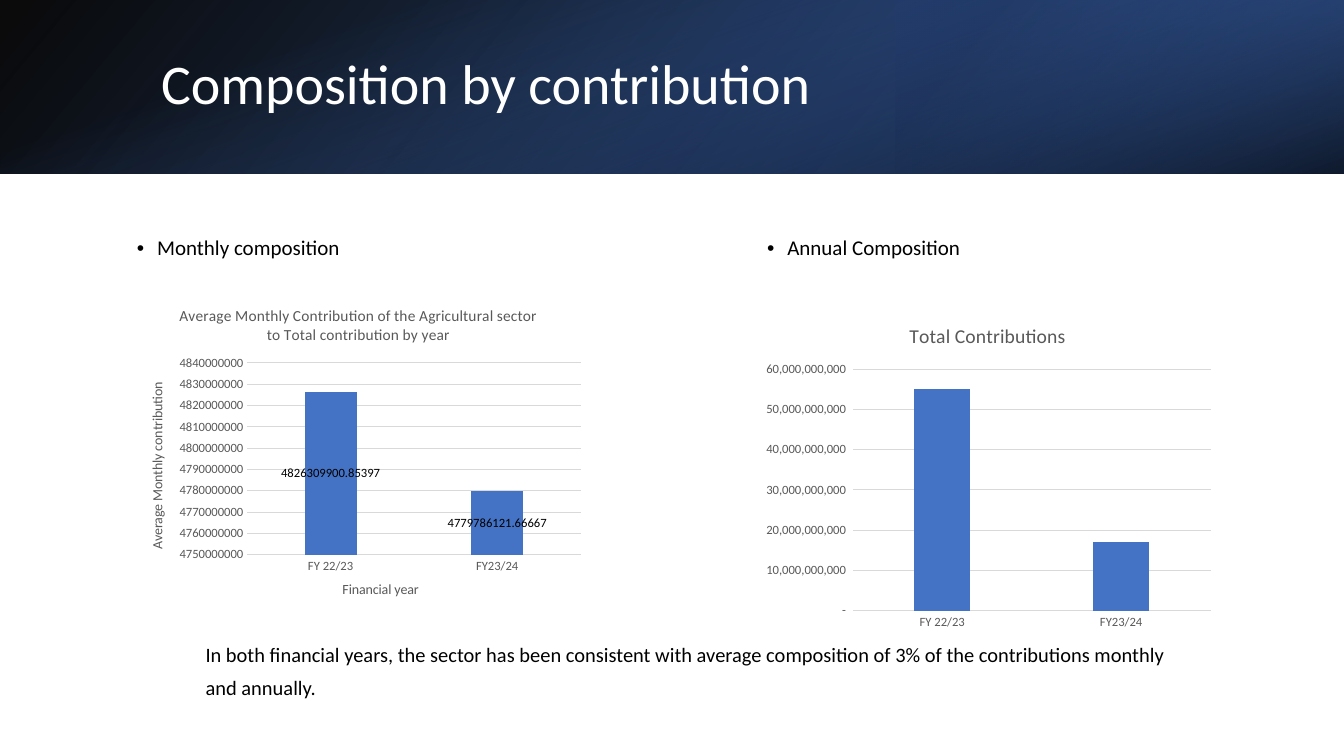
from lxml import etree
from pptx import Presentation
from pptx import util as u
from pptx.chart.data import CategoryChartData
from pptx.dml.color import RGBColor
from pptx.enum import chart as ch, shapes, text
from pptx.oxml.ns import qn

THEME = {
    "font": "Calibri", "ink": "000000", "paper": "FFFFFF", "muted": "595959",
    "grid": "D9D9D9", "bar": "4472C4", "deep": "2F5597", "navy": "203864",
    "title": 40, "bullet": 15, "note": 14.6, "axis": 9, "axis_title": 10,
}
W, H = 13.33, 7.5
BANNER_H = 0.23 * H


def style(font, size, color):
    font.name, font.size = THEME["font"], u.Pt(size)
    font.color.rgb = RGBColor.from_string(THEME[color])


def place(parent, index, **shares):
    """Pin a chart part to shares of the chart's size."""
    layout = parent.find(qn("c:layout"))
    if layout is None:
        layout = etree.Element(qn("c:layout"))
        parent.insert(index, layout)
    manual = etree.SubElement(layout, qn("c:manualLayout"))
    if "w" in shares:
        etree.SubElement(manual, qn("c:layoutTarget")).set("val", "inner")
    for edge in ("xMode", "yMode"):
        etree.SubElement(manual, qn(f"c:{edge}")).set("val", "edge")
    for name, share in shares.items():
        etree.SubElement(manual, qn(f"c:{name}")).set("val", str(share))


prs = Presentation()
prs.slide_width, prs.slide_height = u.Inches(W), u.Inches(H)
s = prs.slides.add_slide(prs.slide_layouts[6])

# Banner: three translucent gradients; stops are (position, colour, opacity %)
turned = ((W - BANNER_H) / 2, (BANNER_H - W) / 2, BANNER_H, W)
layers = [
    ((0, 0, W, BANNER_H), 0, True, 220, [(0, "ink", 96), (1, "deep", 100)]),
    ((W * 2 / 3, 0, W / 3, BANNER_H), 180, True, 40, [(0.19, "navy", 68), (1, "bar", 79)]),
    (turned, 90, False, 20, [(0.23, "bar", 0), (0.99, "ink", 74)]),
]
for box, rotation, flipped, angle, stops in layers:
    sp = s.shapes.add_shape(shapes.MSO_SHAPE.RECTANGLE, *map(u.Inches, box))
    sp.shadow.inherit = False
    sp.line.fill.background()
    sp.rotation = rotation
    if flipped:
        sp._element.spPr.find(qn("a:xfrm")).set("flipH", "1")
    sp.fill.gradient()
    sp.fill.gradient_angle = angle
    for stop, (position, color, _) in zip(sp.fill.gradient_stops, stops):
        stop.position = position
        stop.color.rgb = RGBColor.from_string(THEME[color])
    for rgb, (_, _, opacity) in zip(sp._element.spPr.iter(qn("a:srgbClr")), stops):
        etree.SubElement(rgb, qn("a:alpha")).set("val", str(opacity * 1000))

# Text: box, lines, size, colour, line spacing, space before, space after, bulleted
note = ["In both financial years, the sector has been consistent with average "
        "composition of 3% of the contributions monthly", "and annually."]
texts = [
    ((1.5, 0.38, 10.98, 0.96), ["Composition by contribution"], "title", "paper", 0.9, 0, 0, False),
    ((1.26, 2.31, 4.59, 0.4), ["Monthly composition"], "bullet", "ink", 0.9, 8.1, 0, True),
    ((7.51, 2.31, 4.59, 0.4), ["Annual Composition"], "bullet", "ink", 0.9, 8.1, 0, True),
    ((1.94, 6.32, 9.83, 0.68), note, "note", "ink", 1.0, 0, 6, False),
]
for box, lines, size, color, spacing, before, after, bulleted in texts:
    tf = s.shapes.add_textbox(*map(u.Inches, box)).text_frame
    tf.word_wrap = size != "note"
    if size == "title":
        tf.vertical_anchor = text.MSO_ANCHOR.MIDDLE
    tf.text = "\n".join(lines)
    for p in tf.paragraphs:
        style(p.font, THEME[size], color)
        p.line_spacing = spacing
        p.space_before, p.space_after = u.Pt(before), u.Pt(after)
        if bulleted:
            pPr = p._p.get_or_add_pPr()
            pPr.set("marL", str(u.Inches(0.2)))
            pPr.set("indent", str(u.Inches(-0.2)))
            defaults = pPr.find(qn("a:defRPr"))
            defaults.addprevious(etree.Element(qn("a:buFont"), typeface="Arial"))
            defaults.addprevious(etree.Element(qn("a:buChar"), char="•"))

charts = [
    dict(box=(1.26, 2.88, 4.59, 3.28), series="Series 1",
         title="Average Monthly Contribution of the Agricultural sector to Total contribution by year",
         title_size=11, values=(4826309900.85397, 4779786121.66667),
         scale=(4.75e9, 4.84e9, 1e7), fmt="General", labels=True,
         plot=dict(x=0.26, y=0.22, w=0.72, h=0.58),
         axis_titles=[("Financial year", dict(x=0.46, y=0.87)),
                      ("Average Monthly contribution", dict(x=0.04, y=0.27))]),
    dict(box=(7.49, 3.04, 4.61, 3.28), series="Total Contributions",
         title="Total Contributions", title_size=14, values=(55e9, 17e9),
         scale=(0, 6e10, 1e10), labels=False, axis_titles=[],
         fmt='_(* #,##0_);_(* \\(#,##0\\);_(* "-"_);_(@_)',
         plot=dict(x=0.21, y=0.19, w=0.77, h=0.73)),
]
for c in charts:
    data = CategoryChartData()
    data.categories = ["FY 22/23", "FY23/24"]
    data.add_series(c["series"], c["values"])
    chart = s.shapes.add_chart(ch.XL_CHART_TYPE.COLUMN_CLUSTERED,
                               *map(u.Inches, c["box"]), data).chart
    style(chart.font, THEME["axis_title"], "ink")
    chart.has_legend = False
    chart.has_title = True
    chart.chart_title.include_in_layout = False
    tf = chart.chart_title.text_frame
    tf.text = c["title"]
    style(tf.paragraphs[0].font, c["title_size"], "muted")
    tf.paragraphs[0].font.bold = False

    plot = chart.plots[0]
    plot.gap_width, plot.overlap, plot.vary_by_categories = 219, -27, False
    bars = plot.series[0].format.fill
    bars.solid()
    bars.fore_color.rgb = RGBColor.from_string(THEME["bar"])
    if c["labels"]:
        plot.has_data_labels = True
        plot.data_labels.show_value = True
        plot.data_labels.position = ch.XL_LABEL_POSITION.CENTER
        style(plot.data_labels.font, THEME["axis"], "ink")

    cat, val = chart.category_axis, chart.value_axis
    for axis in (cat, val):
        axis.major_tick_mark = axis.minor_tick_mark = ch.XL_TICK_MARK.NONE
        style(axis.tick_labels.font, THEME["axis"], "muted")
    val.minimum_scale, val.maximum_scale, val.major_unit = c["scale"]
    val.tick_labels.number_format = c["fmt"]
    val.tick_labels.number_format_is_linked = False
    val.format.line.fill.background()
    for line in (cat.format.line, val.major_gridlines.format.line):
        line.width = u.Pt(0.75)
        line.color.rgb = RGBColor.from_string(THEME["grid"])

    place(chart._chartSpace.chart.plotArea, 0, **c["plot"])
    for axis, (label, corner) in zip((cat, val), c["axis_titles"]):
        tf = axis.axis_title.text_frame
        tf.text = label
        style(tf.paragraphs[0].font, THEME["axis_title"], "muted")
        tf.paragraphs[0].font.bold = False
        if axis is val:
            body = tf._element.find(qn("a:bodyPr"))
            body.set("rot", "-5400000")
            body.set("vert", "horz")
        place(axis.axis_title._element, 1, **corner)

prs.save("out.pptx")
